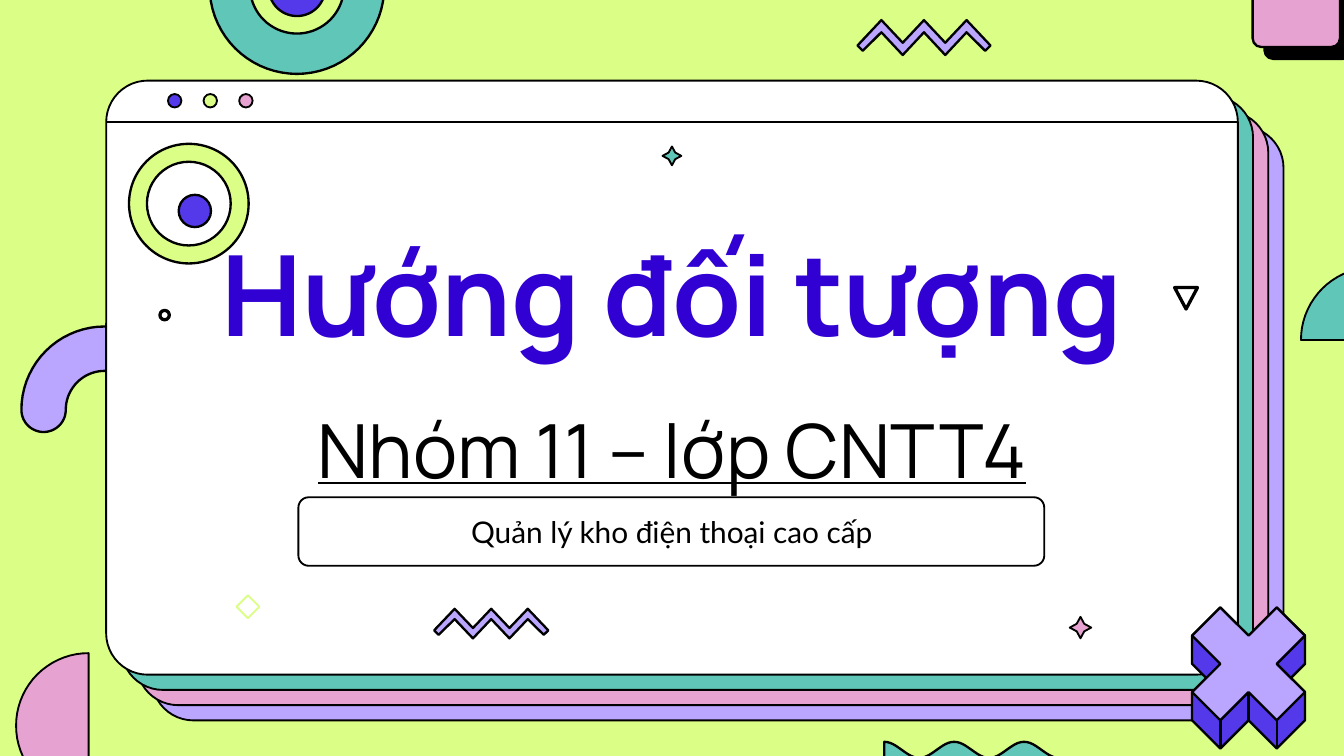
from dataclasses import dataclass
from math import cos, pi, radians, sin

from lxml.etree import SubElement
from pptx import Presentation
from pptx.dml.color import RGBColor
from pptx.enum.shapes import MSO_CONNECTOR, MSO_SHAPE
from pptx.enum.text import MSO_ANCHOR, MSO_AUTO_SIZE, PP_ALIGN
from pptx.oxml.ns import qn
from pptx.util import Inches, Pt


@dataclass(frozen=True)
class Theme:
    lime: str = "DBFE87"
    lilac: str = "BAA5FF"
    pink: str = "E6A2D0"
    teal: str = "60C7B8"
    violet: str = "5339EA"
    title_blue: str = "3100D2"
    white: str = "FFFFFF"
    black: str = "000000"
    title_font: str = "Manrope"
    body_font: str = "Lato"
    title_size: int = 60
    group_size: int = 40
    body_size: int = 16
    thin: float = 1
    medium: float = 1.25
    thick: float = 1.75


THEME = Theme()
ZIGZAG = [(0.66, 1), (0.5, 0.35), (0.34, 1), (0.18, 0.35), (0.04, 0.88),
          (0, 0.73), (0.18, 0), (0.34, 0.65), (0.5, 0), (0.66, 0.65),
          (0.82, 0), (1, 0.73), (0.96, 0.88), (0.82, 0.35)]


def paint(shape, fill, line=THEME.black, width=THEME.thin):
    shape.shadow.inherit = False
    if fill:
        shape.fill.solid()
        shape.fill.fore_color.rgb = RGBColor.from_string(fill)
    else:
        shape.fill.background()
    shape.line.color.rgb = RGBColor.from_string(line)
    shape.line.width = Pt(width)
    return shape


def add_preset(page, kind, bounds, fill, width=THEME.thin, adjust=None, line=THEME.black):
    shape = page.shapes.add_shape(kind, *map(Inches, bounds))
    if adjust is not None:
        shape.adjustments[0] = adjust
    return paint(shape, fill, line, width)


def add_outline(page, points, fill, width=THEME.medium):
    corners = [(Inches(x), Inches(y)) for x, y in points]
    builder = page.shapes.build_freeform(*corners[0])
    builder.add_line_segments(corners[1:], close=True)
    return paint(builder.convert_to_shape(), fill, width=width)


def add_rule(page, start, end, width=THEME.thin):
    rule = page.shapes.add_connector(MSO_CONNECTOR.STRAIGHT, *map(Inches, start + end))
    rule.line.color.rgb = RGBColor.from_string(THEME.black)
    rule.line.width = Pt(width)
    SubElement(rule.element.spPr, qn("a:effectLst"))


def arc(x, y, radius, start, stop, steps=36):
    angles = [radians(start + (stop - start) * i / steps) for i in range(steps + 1)]
    return [(x + radius * cos(angle), y + radius * sin(angle)) for angle in angles]


def add_zigzag(page, left, top, width, height):
    points = [(left + width * x, top + height * y) for x, y in ZIGZAG]
    add_outline(page, points, THEME.lilac)


def add_wave(page, left, top, period, swing, thickness):
    steps = 60
    crest = []
    for i in range(steps + 1):
        cycles = 2.5 * i / steps
        crest.append((left + period * cycles, top + swing * (1 - cos(2 * pi * cycles))))
    trough = [(x, y + thickness) for x, y in reversed(crest)]
    add_outline(page, crest + trough, THEME.teal)


def add_hook(page):
    x, y, outer, inner = 0.78, 3.05, 0.62, 0.29
    cap, middle = (outer - inner) / 2, (outer + inner) / 2
    points = (arc(x, y, outer, 180, 360) + arc(x + middle, y, cap, 0, 180)
              + arc(x, y, inner, 360, 180) + arc(x - middle, y, cap, 0, 180))
    add_outline(page, points, THEME.lilac)


def add_window(page):
    colors = [THEME.white, THEME.teal, THEME.pink, THEME.lilac]
    for i, color in reversed(list(enumerate(colors))):
        shift = 0.34 * i / 3
        add_preset(page, MSO_SHAPE.ROUNDED_RECTANGLE,
                   (0.79 + shift, 0.6 + shift, 8.42, 4.42), color, adjust=0.07)
    add_rule(page, (0.79, 0.91), (9.21, 0.91))


def add_window_dots(page):
    for i, color in enumerate([THEME.violet, THEME.lime, THEME.pink]):
        add_preset(page, MSO_SHAPE.OVAL, (1.25 + 0.53 * i / 2, 0.7, 0.1, 0.1), color)


def add_cross(page):
    x, y, arm, depth = 9.29, 4.94, 0.21, 0.21
    face = [(1, -2), (2, -1), (1, 0), (2, 1), (1, 2), (0, 1),
            (-1, 2), (-2, 1), (-1, 0), (-2, -1), (-1, -2), (0, -1)]
    body = [(1, -2), (2, -1), (2, 0), (1.5, 0.5), (2, 1), (2, 2), (1, 3), (0, 2),
            (-1, 3), (-2, 2), (-2, 1), (-1.5, 0.5), (-2, 0), (-2, -1), (-1, -2), (0, -1)]
    for cells, color in ((body, THEME.violet), (face, THEME.lilac)):
        add_outline(page, [(x + arm * i, y + arm * j) for i, j in cells], color)
    for i, j in ((-1, 2), (0, 1), (1, 2)):
        corner = (x + arm * i, y + arm * j)
        add_rule(page, corner, (corner[0], corner[1] + depth), THEME.medium)


def add_shadowed_square(page):
    square = add_preset(page, MSO_SHAPE.ROUNDED_RECTANGLE, (9.32, -0.3, 0.65, 0.65),
                        THEME.pink, THEME.medium, 0.1)
    effects = square.element.spPr.find(qn("a:effectLst"))
    shadow = SubElement(effects, qn("a:outerShdw"), blurRad="0", dist=str(Pt(9)),
                        dir="2700000", algn="bl", rotWithShape="0")
    SubElement(shadow, qn("a:srgbClr"), val=THEME.black)


def fill_placeholder(box, bounds, text, spacing, anchor):
    box.left, box.top, box.width, box.height = map(Inches, bounds)
    box.element.getparent().append(box.element)
    frame = box.text_frame
    frame.text = text
    frame.word_wrap = True
    frame.auto_size = MSO_AUTO_SIZE.NONE
    frame.vertical_anchor = anchor
    para = frame.paragraphs[0]
    para.alignment = PP_ALIGN.CENTER
    para.line_spacing = spacing
    return para


def style(span, font, size, color, bold=False, underline=False):
    span.font.name = font
    span.font.size = Pt(size)
    span.font.color.rgb = RGBColor.from_string(color)
    span.font.bold = bold
    span.font.underline = underline


def add_texts(page):
    title, subtitle = page.shapes.title, page.placeholders[1]
    para = fill_placeholder(title, (1.37, 1.4, 7.26, 2.32),
                            "Hướng đối tượng\vNhóm 11 – lớp CNTT4", 1.5, MSO_ANCHOR.BOTTOM)
    heading, group = para.runs
    style(heading, THEME.title_font, THEME.title_size, THEME.title_blue, bold=True)
    style(group, THEME.title_font, THEME.group_size, THEME.black, underline=True)
    para = fill_placeholder(subtitle, (1.57, 3.8, 6.86, 0.39),
                            "Quản lý kho điện thoại cao cấp", 0.9, MSO_ANCHOR.TOP)
    para.space_before = Pt(7.5)
    style(para.runs[0], THEME.body_font, THEME.body_size, THEME.black)


def add_ornaments(page):
    add_preset(page, MSO_SHAPE.DONUT, (0.96, 1.07, 0.89, 0.89), THEME.lime, THEME.medium, 0.15)
    add_preset(page, MSO_SHAPE.OVAL, (1.33, 1.45, 0.24, 0.24), THEME.violet, THEME.medium)
    add_preset(page, MSO_SHAPE.STAR_4_POINT, (7.96, 4.59, 0.16, 0.16), THEME.pink, adjust=0.25)
    add_preset(page, MSO_SHAPE.STAR_4_POINT, (4.93, 1.09, 0.14, 0.14), THEME.teal, adjust=0.25)
    add_zigzag(page, 3.23, 4.53, 0.85, 0.22)
    add_zigzag(page, 6.38, 0.15, 0.99, 0.26)
    add_shadowed_square(page)
    add_preset(page, MSO_SHAPE.FLOWCHART_MERGE, (8.74, 2.14, 0.17, 0.16), None, THEME.thick)
    add_preset(page, MSO_SHAPE.DIAMOND, (1.76, 4.43, 0.17, 0.17), None, THEME.thin,
               line=THEME.lime)
    add_preset(page, MSO_SHAPE.OVAL, (1.19, 2.31, 0.07, 0.07), None, THEME.thick)
    add_outline(page, arc(0.66, 5.4, 0.54, 90, 270), THEME.pink, THEME.thin)
    add_wave(page, 6.58, 5.52, 0.52, 0.06, 0.12)
    add_cross(page)
    add_outline(page, arc(10.22, 2.53, 0.54, 180, 360), THEME.teal, THEME.thin)


def main():
    deck = Presentation()
    deck.slide_width, deck.slide_height = Pt(720), Pt(405)
    page = deck.slides.add_slide(deck.slide_layouts[0])
    page.background.fill.solid()
    page.background.fill.fore_color.rgb = RGBColor.from_string(THEME.lime)
    add_hook(page)
    add_window(page)
    half_ring = arc(2.21, -0.1, 0.65, 0, 180) + arc(2.21, -0.1, 0.35, 180, 0)
    add_outline(page, half_ring, THEME.teal)
    add_outline(page, arc(2.21, -0.09, 0.21, 0, 180), THEME.violet)
    add_texts(page)
    add_window_dots(page)
    add_preset(page, MSO_SHAPE.ROUNDED_RECTANGLE, (2.22, 3.7, 5.55, 0.51), None, adjust=0.15)
    add_ornaments(page)
    deck.save("out.pptx")


if __name__ == "__main__":
    main()
